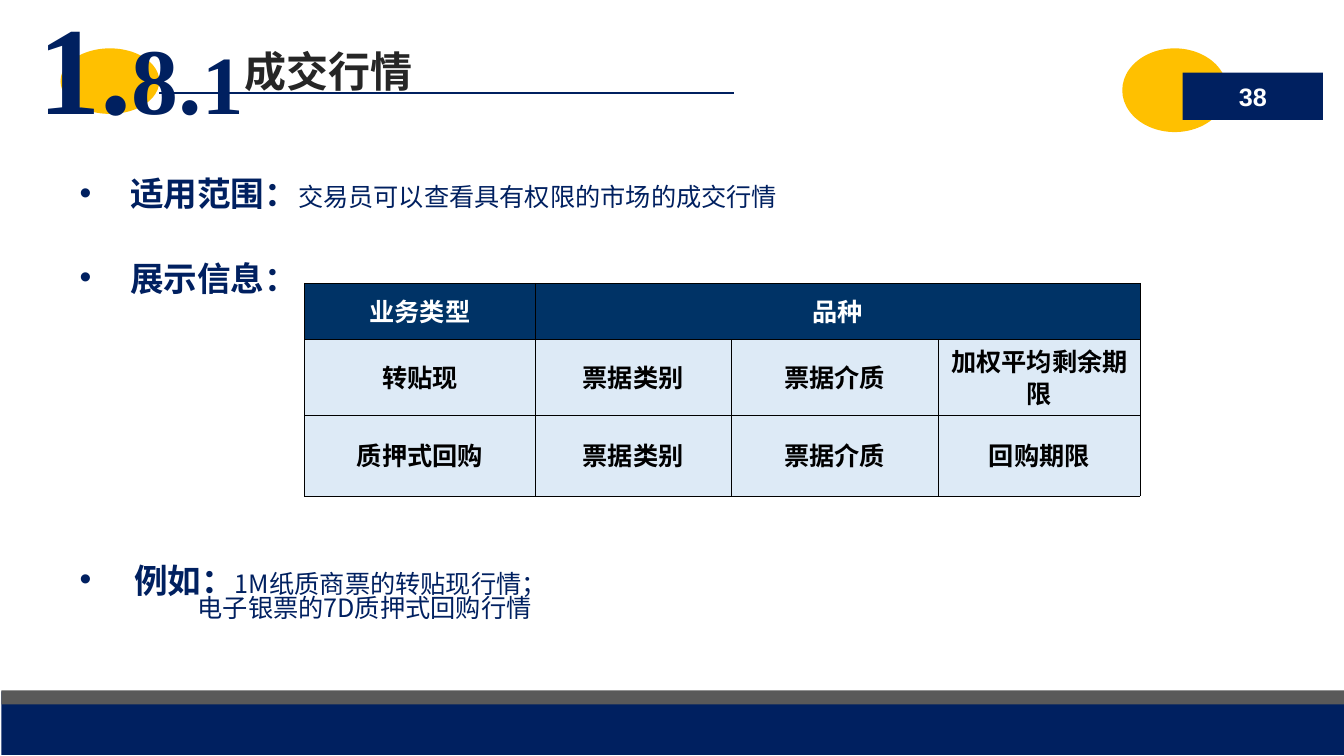
"""Builds the slide on trading quotes; lengths are percentages of the slide's size."""
from dataclasses import dataclass

from lxml import etree
from pptx import Presentation
from pptx import util as u
from pptx.dml.color import RGBColor
from pptx.enum import shapes, text
from pptx.oxml import ns

WIDTH, HEIGHT = u.Inches(13.33), u.Inches(7.5)
NAVY, AMBER, GREY, WHITE, BLACK = "002060", "FFC000", "595959", "FFFFFF", "000000"
CHINESE, LATIN, SERIF = "Noto Sans CJK SC", "Arial", "Times New Roman"
WIDE_INSETS = (0.12, 0.06)


@dataclass(frozen=True)
class Area:
    left: float
    top: float
    width: float
    height: float

    def box(self) -> tuple:
        return across(self.left), down(self.top), across(self.width), down(self.height)


@dataclass(frozen=True)
class Block:
    kind: shapes.MSO_SHAPE
    area: Area
    fill: str


@dataclass(frozen=True)
class Run:
    words: str
    size: float
    colour: str = NAVY
    font: str = CHINESE
    bold: bool = True


@dataclass(frozen=True)
class Point:
    runs: tuple
    indent: float
    gap: float = 0
    bullet: bool = True


RECTANGLE, OVAL = shapes.MSO_SHAPE.RECTANGLE, shapes.MSO_SHAPE.OVAL
BLOCKS = (
    Block(RECTANGLE, Area(0.1, 91.47, 99.9, 8.4), NAVY),
    Block(RECTANGLE, Area(0.1, 91.33, 99.9, 1.87), GREY),
    Block(OVAL, Area(4.5, 6.4, 7.35, 8.67), AMBER),
    Block(OVAL, Area(83.5, 6.4, 7.8, 11.07), AMBER),
)
PAGE_BADGE = Block(RECTANGLE, Area(88, 9.6, 10.43, 6.27), NAVY)
SECTION = (Run("1.", 89, font=SERIF), Run("8.", 67, font=SERIF), Run("1", 59, font=SERIF))
POINTS = (
    Point((Run("适用范围：", 24), Run("交易员可以查看具有权限的市场的成交行情", 18, bold=False)), 0.5),
    Point((Run("展示信息：", 24),), 0.5, gap=39),
    Point((Run("例如：", 24), Run("1M纸质商票的转贴现行情；", 18, bold=False)), 0.54, gap=194),
    Point((Run("电子银票的7D质押式回购行情", 18, bold=False),), 1.17, bullet=False),
)
TABLE_AREA = Area(22.66, 37.47, 62.18, 27.34)
COLUMNS, ROWS = (17.18, 14.55, 15.45, 15), (7.47, 9.2, 10.67)
VARIETIES = (
    ("业务类型", "品种", "", ""),
    ("转贴现", "票据类别", "票据介质", "加权平均剩余期限"),
    ("质押式回购", "票据类别", "票据介质", "回购期限"),
)


def across(share: float) -> int:
    """Turns a percentage of the slide's width into a length."""
    return round(WIDTH * share / 100)


def down(share: float) -> int:
    """Turns a percentage of the slide's height into a length."""
    return round(HEIGHT * share / 100)


def paint(target, colour: str) -> None:
    """Gives a fill a solid colour."""
    target.solid()
    target.fore_color.rgb = RGBColor.from_string(colour)


def write(paragraph, runs: tuple) -> None:
    """Adds formatted runs to a paragraph."""
    for part in runs:
        run = paragraph.add_run()
        run.text = part.words
        run.font.size, run.font.bold, run.font.name = u.Pt(part.size), part.bold, part.font
        paint(run.font.fill, part.colour)
        latin = run.font._element.find(ns.qn("a:latin"))
        latin.addnext(latin.makeelement(ns.qn("a:ea"), {"typeface": part.font}))


def prepare(frame, insets: tuple, anchor=text.MSO_ANCHOR.TOP) -> None:
    """Sets wrapping, insets and anchor of a text frame."""
    frame.word_wrap, frame.auto_size = True, text.MSO_AUTO_SIZE.NONE
    frame.vertical_anchor = anchor
    frame.margin_left = frame.margin_right = u.Inches(insets[0])
    frame.margin_top = frame.margin_bottom = u.Inches(insets[1])


def draw_block(slide, block: Block):
    """Draws a plain filled shape."""
    shape = slide.shapes.add_shape(block.kind, *block.area.box())
    shape.shadow.inherit = False
    paint(shape.fill, block.fill)
    shape.line.fill.background()
    return shape


def draw_rule(slide, start: float, end: float, level: float) -> None:
    """Draws the line under the heading."""
    rule = slide.shapes.add_connector(
        shapes.MSO_CONNECTOR.STRAIGHT, across(start), down(level), across(end), down(level))
    paint(rule.line.fill, NAVY)
    rule.line.width = u.Pt(1.5)
    etree.SubElement(rule._element.spPr, ns.qn("a:effectLst"))


def draw_heading(slide) -> None:
    """Places the title and its section number."""
    title = slide.shapes.title
    title.left, title.top, title.width, title.height = Area(18.2, 5.33, 53.5, 8.13).box()
    prepare(title.text_frame, (0, 0.05))
    title.text_frame.paragraphs[0].alignment = text.PP_ALIGN.LEFT
    write(title.text_frame.paragraphs[0], (Run("成交行情", 30, "262626"),))
    section = slide.shapes.add_textbox(*Area(1.95, -2.13, 23.26, 21.6).box()).text_frame
    prepare(section, WIDE_INSETS)
    write(section.paragraphs[0], SECTION)


def draw_points(slide) -> None:
    """Writes the bulleted points."""
    frame = slide.shapes.add_textbox(*Area(5.03, 23.33, 87.47, 64.4).box()).text_frame
    prepare(frame, WIDE_INSETS)
    for index, point in enumerate(POINTS):
        paragraph = frame.add_paragraph() if index else frame.paragraphs[0]
        paragraph.line_spacing = 0.75
        if point.gap:
            paragraph.space_before = u.Pt(point.gap)
        layout = paragraph._p.get_or_add_pPr()
        layout.set("marL", str(u.Inches(point.indent)))
        if point.bullet:
            layout.set("indent", str(-u.Inches(point.indent)))
            etree.SubElement(layout, ns.qn("a:buFont"), typeface=LATIN)
            etree.SubElement(layout, ns.qn("a:buChar"), char="•")
        write(paragraph, point.runs)


def outline(cell) -> None:
    """Gives a cell thin black borders."""
    for index, side in enumerate("LRTB"):
        border = etree.Element(ns.qn(f"a:ln{side}"), w=str(u.Pt(0.5)))
        fill = etree.SubElement(border, ns.qn("a:solidFill"))
        etree.SubElement(fill, ns.qn("a:srgbClr"), val=BLACK)
        cell._tc.get_or_add_tcPr().insert(index, border)


def draw_table(slide) -> None:
    """Draws the table of business types and varieties."""
    table = slide.shapes.add_table(len(ROWS), len(COLUMNS), *TABLE_AREA.box()).table
    for column, share in zip(table.columns, COLUMNS):
        column.width = across(share)
    for row, share, words in zip(table.rows, ROWS, VARIETIES):
        row.height = down(share)
        header = words is VARIETIES[0]
        for cell, label in zip(row.cells, words):
            paint(cell.fill, "003366" if header else "DDEAF6")
            outline(cell)
            cell.vertical_anchor = text.MSO_ANCHOR.MIDDLE
            if label:
                paragraph = cell.text_frame.paragraphs[0]
                paragraph.alignment, paragraph.line_spacing = text.PP_ALIGN.CENTER, 0.9
                write(paragraph, (Run(label, 18, WHITE if header else BLACK),))
    table.cell(0, 1).merge(table.cell(0, 3))


def main() -> None:
    """Builds and saves the slide."""
    deck = Presentation()
    deck.slide_width, deck.slide_height = WIDTH, HEIGHT
    slide = deck.slides.add_slide(deck.slide_layouts[5])
    for block in BLOCKS:
        draw_block(slide, block)
    draw_rule(slide, 11.85, 54.61, 12.27)
    page = draw_block(slide, PAGE_BADGE).text_frame
    prepare(page, WIDE_INSETS, text.MSO_ANCHOR.MIDDLE)
    page.paragraphs[0].alignment = text.PP_ALIGN.CENTER
    write(page.paragraphs[0], (Run("38", 18, WHITE, LATIN),))
    draw_heading(slide)
    draw_points(slide)
    draw_table(slide)
    deck.save("out.pptx")


if __name__ == "__main__":
    main()
